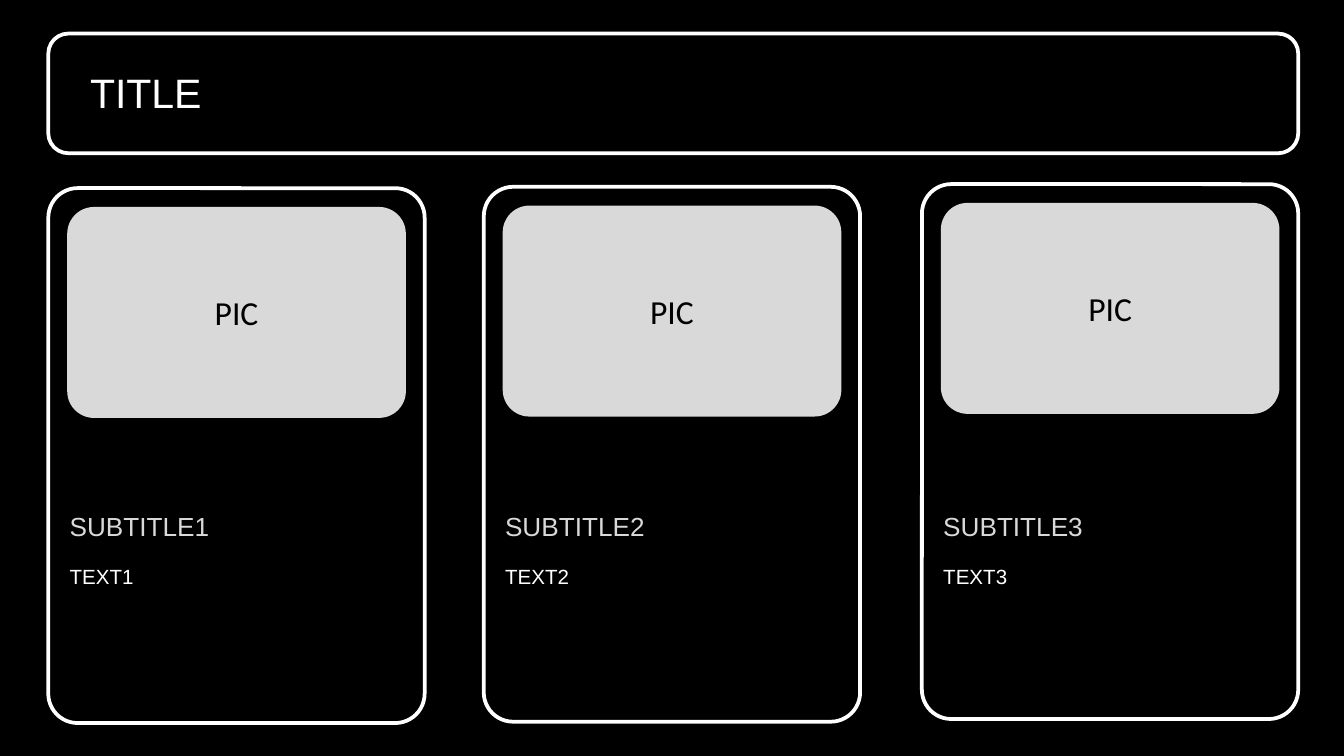
"""Build a dark slide with a framed title and three picture cards."""
from dataclasses import dataclass

from pptx import Presentation
from pptx.dml.color import RGBColor
from pptx.enum.shapes import MSO_SHAPE
from pptx.enum.text import MSO_ANCHOR, MSO_AUTO_SIZE, PP_ALIGN
from pptx.shapes.autoshape import Shape
from pptx.slide import Slide
from pptx.util import Inches, Pt

ROUNDED = MSO_SHAPE.ROUNDED_RECTANGLE
TOP, MIDDLE, BOTTOM = MSO_ANCHOR.TOP, MSO_ANCHOR.MIDDLE, MSO_ANCHOR.BOTTOM
LEFT, CENTER = PP_ALIGN.LEFT, PP_ALIGN.CENTER
NO_AUTOFIT = MSO_AUTO_SIZE.NONE
SLIDE_WIDTH = 10
COLORS = {"black": "000000", "white": "FFFFFF", "gray": "D9D9D9"}


@dataclass(frozen=True)
class Box:
    left: float
    top: float
    width: float
    height: float

    def lengths(self) -> tuple:
        return tuple(Inches(value) for value in (self.left, self.top, self.width, self.height))


@dataclass(frozen=True)
class TextStyle:
    size: int
    color: str
    font: str = "Arial"
    anchor: MSO_ANCHOR = TOP
    align: PP_ALIGN = LEFT


@dataclass(frozen=True)
class Card:
    left: float
    top: float
    subtitle: str
    text: str


TITLE = TextStyle(22, "white")
PICTURE_LABEL = TextStyle(18, "black", "Calibri", MIDDLE, CENTER)
SUBTITLE = TextStyle(14, "gray", anchor=BOTTOM)
BODY = TextStyle(11, "white")
CARDS = (
    Card(0.36, 1.4, "SUBTITLE1", "TEXT1"),
    Card(3.6, 1.39, "SUBTITLE2", "TEXT2"),
    Card(6.86, 1.37, "SUBTITLE3", "TEXT3"),
)


def color(name: str) -> RGBColor:
    return RGBColor.from_string(COLORS[name])


def write_text(shape: Shape, text: str, style: TextStyle) -> None:
    frame = shape.text_frame
    frame.text = text
    frame.auto_size = NO_AUTOFIT
    frame.word_wrap = True
    frame.vertical_anchor = style.anchor
    paragraph = frame.paragraphs[0]
    paragraph.alignment = style.align
    paragraph.font.name = style.font
    paragraph.font.size = Pt(style.size)
    paragraph.font.color.rgb = color(style.color)


def add_text(slide: Slide, box: Box, text: str, style: TextStyle) -> None:
    write_text(slide.shapes.add_textbox(*box.lengths()), text, style)


def add_rounded(slide: Slide, box: Box, rounding: float) -> Shape:
    shape = slide.shapes.add_shape(ROUNDED, *box.lengths())
    shape.adjustments[0] = rounding
    shape.shadow.inherit = False
    return shape


def add_frame(slide: Slide, box: Box, rounding: float) -> None:
    frame = add_rounded(slide, box, rounding)
    frame.fill.background()
    frame.line.color.rgb = color("white")
    frame.line.width = Pt(2)


def add_card(slide: Slide, card: Card) -> None:
    picture_area = add_rounded(slide, Box(card.left + 0.14, card.top + 0.14, 2.52, 1.57), 0.127)
    picture_area.fill.solid()
    picture_area.fill.fore_color.rgb = color("gray")
    picture_area.line.fill.background()
    write_text(picture_area, "PIC", PICTURE_LABEL)
    add_text(slide, Box(card.left + 0.06, 3.3, 2.66, 0.78), card.subtitle, SUBTITLE)
    add_text(slide, Box(card.left + 0.06, 4.15, 2.66, 1.14), card.text, BODY)
    add_frame(slide, Box(card.left, card.top, 2.8, 3.98), 0.078)


def main() -> None:
    presentation = Presentation()
    presentation.slide_width = Inches(SLIDE_WIDTH)
    presentation.slide_height = Inches(SLIDE_WIDTH * 9 / 16)
    slide = presentation.slides.add_slide(presentation.slide_layouts.get_by_name("Title Only"))
    slide.background.fill.solid()
    slide.background.fill.fore_color.rgb = color("black")

    title = slide.shapes.title
    title.left, title.top, title.width, title.height = Box(0.57, 0.45, 9.26, 0.53).lengths()
    write_text(title, "TITLE", TITLE)
    add_frame(slide, Box(0.36, 0.25, 9.3, 0.89), 0.167)
    for card in CARDS:
        add_card(slide, card)
    presentation.save("out.pptx")


if __name__ == "__main__":
    main()
